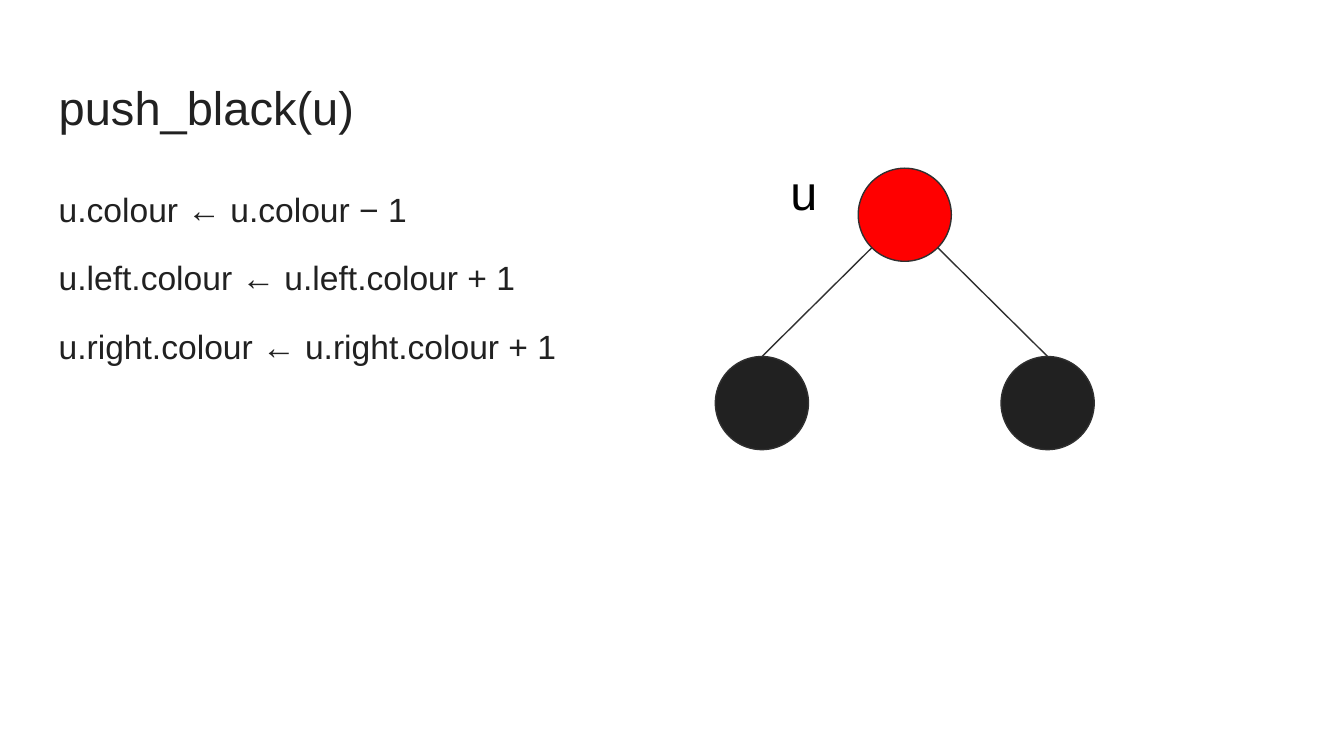
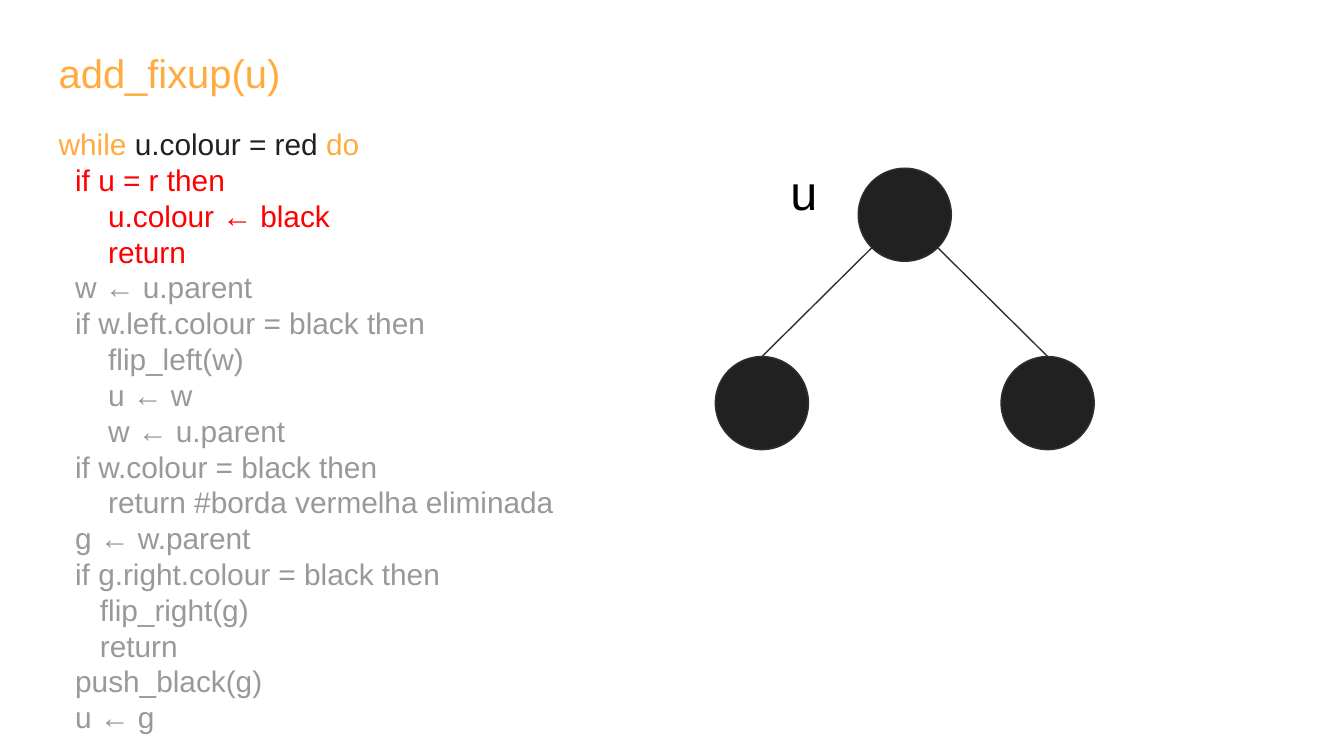
import math
from dataclasses import dataclass

from lxml import etree
from pptx import Presentation
from pptx import util as u
from pptx.dml.color import RGBColor
from pptx.enum import shapes, text
from pptx.oxml.ns import qn


@dataclass(frozen=True)
class Theme:
    font: str = "Arial"
    ink: str = "212121"
    edge: str = "303030"
    black: str = "000000"
    red: str = "FF0000"
    accent: str = "FFAB40"
    muted: str = "999999"
    title_size: float = 25.2
    code_title_size: float = 21.4
    body_size: float = 18
    code_size: float = 16
    label_size: float = 26
    line_width: float = 0.75


THEME = Theme()
MARGIN = 0.86
TREE_BOX = (13.52, 3.18, 7.16, 5.32)
NODE_SIZE = 1.76

PUSH_STEPS = [
    "u.colour ← u.colour − 1",
    "u.left.colour ← u.left.colour + 1",
    "u.right.colour ← u.right.colour + 1",
]
LOOP_HEAD = [
    ("while ", THEME.accent),
    ("u.colour = red ", THEME.ink),
    ("do", THEME.accent),
]
ROOT_CASE = """\
  if u = r then
      u.colour ← black
      return"""
REMAINING_CASES = """\
  w ← u.parent
  if w.left.colour = black then
      flip_left(w)
      u ← w
      w ← u.parent
  if w.colour = black then
      return #borda vermelha eliminada
  g ← w.parent
  if g.right.colour = black then
     flip_right(g)
     return
  push_black(g)
  u ← g"""


def apply(target, values):
    for name, value in values.items():
        setattr(target, name, value)


def add_text(slide, box, lines, size, line_spacing=None, gap=0):
    frame = slide.shapes.add_textbox(*map(u.Cm, box)).text_frame
    inset = u.Cm(0.25)
    apply(frame, {
        "word_wrap": True,
        "vertical_anchor": text.MSO_ANCHOR.TOP,
        "margin_left": inset,
        "margin_top": inset,
        "margin_right": inset,
        "margin_bottom": inset,
    })
    for index, line in enumerate(lines):
        paragraph = frame.add_paragraph() if index else frame.paragraphs[0]
        apply(paragraph, {
            "line_spacing": line_spacing,
            "space_before": u.Pt(gap if index else 0),
        })
        for words, colour in line:
            run = paragraph.add_run()
            run.text = words
            apply(run.font, {"name": THEME.font, "size": u.Pt(size)})
            run.font.color.rgb = RGBColor.from_string(colour)


def add_title(slide, top, words, size, colour):
    add_text(slide, (MARGIN, top, 23.67, 1.6), [[(words, colour)]], size)


def style_line(line):
    line.color.rgb = RGBColor.from_string(THEME.edge)
    line.width = u.Pt(THEME.line_width)


def add_branch(slide, start, end):
    branch = slide.shapes.add_connector(
        shapes.MSO_CONNECTOR.STRAIGHT, *map(u.Cm, (*start, *end)))
    style_line(branch.line)
    etree.SubElement(branch._element.spPr, qn("a:effectLst"))


def add_node(slide, left, top, colour):
    node = slide.shapes.add_shape(
        shapes.MSO_SHAPE.OVAL, *map(u.Cm, (left, top, NODE_SIZE, NODE_SIZE)))
    node.shadow.inherit = False
    node.fill.solid()
    node.fill.fore_color.rgb = RGBColor.from_string(colour)
    style_line(node.line)


def add_tree(slide, box, root_colour):
    left, top, width, height = box
    radius = NODE_SIZE / 2
    root_x, root_y = left + width / 2, top + radius
    reach = radius * math.sqrt(0.5)
    leaf_top = top + height - NODE_SIZE
    for side in (-1, 1):
        leaf_x = root_x + side * (width / 2 - radius)
        add_branch(slide, (root_x + side * reach, root_y + reach),
                   (leaf_x, leaf_top))
        add_node(slide, leaf_x - radius, leaf_top, THEME.ink)
    add_node(slide, root_x - radius, top, root_colour)
    add_text(slide, (left + 1.17, top - 0.36, 1.2, 1.63),
             [[("u", THEME.black)]], THEME.label_size)


def build_push_black(slide):
    add_title(slide, 1.24, "push_black(u)", THEME.title_size, THEME.ink)
    add_text(slide, (MARGIN, 3.2, 10.13, 5.44),
             [[(step, THEME.ink)] for step in PUSH_STEPS],
             THEME.body_size, line_spacing=1.15, gap=12)
    add_tree(slide, TREE_BOX, THEME.red)


def build_add_fixup(slide):
    add_title(slide, 0.66, "add_fixup(u)", THEME.code_title_size, THEME.accent)
    lines = [LOOP_HEAD]
    for block, colour in ((ROOT_CASE, THEME.red),
                          (REMAINING_CASES, THEME.muted)):
        lines += [[(line, colour)] for line in block.split("\n")]
    add_text(slide, (MARGIN, 2.13, 10.34, 12.14), lines, THEME.code_size)
    add_tree(slide, TREE_BOX, THEME.ink)


def main():
    deck = Presentation()
    apply(deck, {"slide_width": u.Cm(25.4), "slide_height": u.Cm(14.29)})
    for build in (build_push_black, build_add_fixup):
        build(deck.slides.add_slide(deck.slide_layouts[6]))
    deck.save("out.pptx")


if __name__ == "__main__":
    main()
